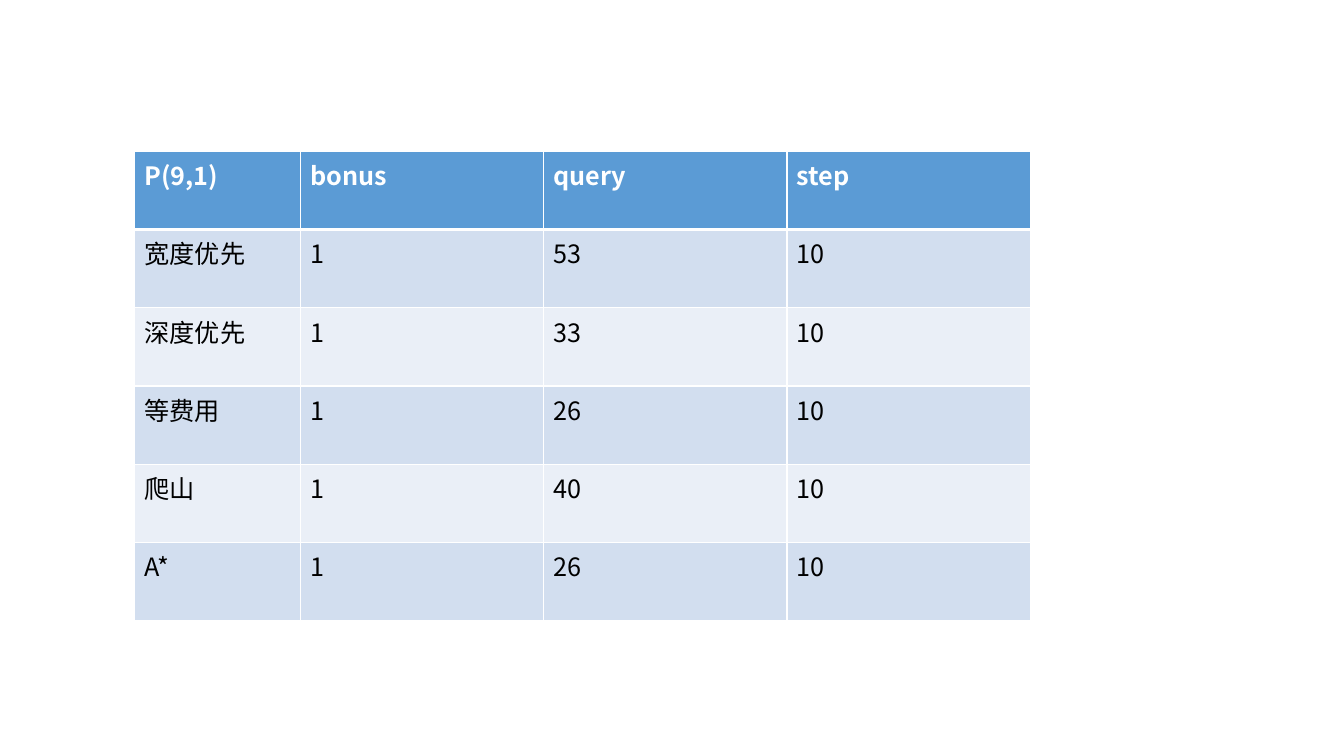
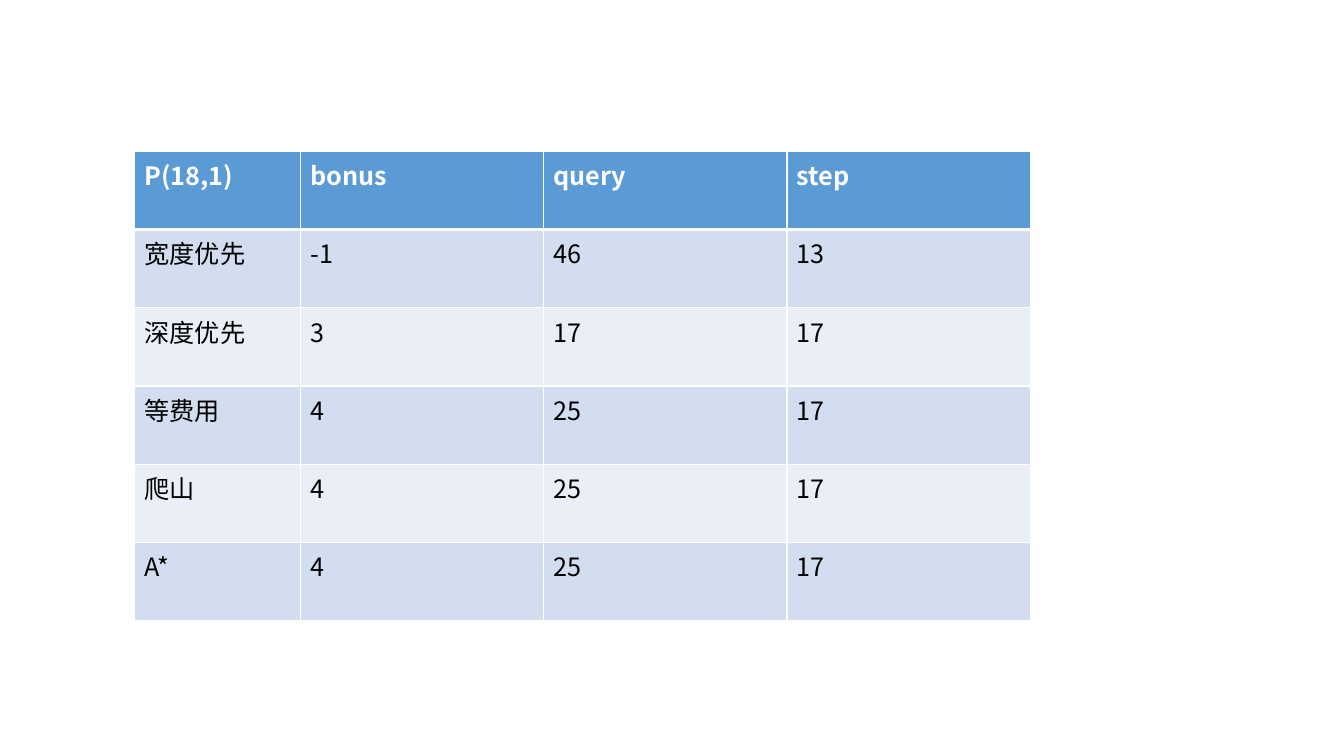
"""Build two slides that compare search methods in tables."""
from lxml import etree
from pptx import Presentation
from pptx.dml.color import RGBColor
from pptx.oxml.ns import qn
from pptx.util import Pt

FONT = "Noto Sans CJK SC"
WHITE = RGBColor(0xFF, 0xFF, 0xFF)
BLACK = RGBColor(0x00, 0x00, 0x00)
BLUE = RGBColor(0x5B, 0x9B, 0xD5)
BANDS = RGBColor(0xEA, 0xEF, 0xF7), RGBColor(0xD2, 0xDE, 0xEF)

HEADS = ["bonus", "query", "step"]
METHODS = ["宽度优先", "深度优先", "等费用", "爬山", "A*"]
RESULTS = {
    "P(9,1)": [(1, 53, 10), (1, 33, 10), (1, 26, 10), (1, 40, 10), (1, 26, 10)],
    "P(18,1)": [(-1, 46, 13), (3, 17, 17), (4, 25, 17), (4, 25, 17), (4, 25, 17)],
}

LEFT, TOP = 96, 108
WIDTHS = [118.5] + [173.8] * len(HEADS)
ROW = 55.9


def add_edge(cell, side, width):
    props = cell._tc.get_or_add_tcPr()
    line = etree.SubElement(props, qn(f"a:ln{side}"), w=str(Pt(width)))
    fill = etree.SubElement(line, qn("a:solidFill"))
    etree.SubElement(fill, qn("a:srgbClr"), val=str(WHITE))


def fill_cell(cell, value, row):
    head = row == 0
    for side in "LRTB":
        thick = (row, side) in [(0, "B"), (1, "T")]
        add_edge(cell, side, 3 if thick else 1)
    cell.fill.solid()
    cell.fill.fore_color.rgb = BLUE if head else BANDS[row % 2]
    cell.text = str(value)
    para = cell.text_frame.paragraphs[0]
    font = para.font
    font.size, font.bold, font.name = Pt(18), head, FONT
    font.color.rgb = WHITE if head else BLACK
    etree.SubElement(para._p.pPr.find(qn("a:defRPr")), qn("a:ea"), typeface=FONT)


def add_results(slide, name, results):
    rows = [[name, *HEADS]] + [[m, *r] for m, r in zip(METHODS, results)]
    table = slide.shapes.add_table(
        len(rows), len(WIDTHS), Pt(LEFT), Pt(TOP),
        Pt(sum(WIDTHS)), Pt(ROW * len(rows))).table
    for col, width in zip(table.columns, WIDTHS):
        col.width = Pt(width)
    for r, values in enumerate(rows):
        table.rows[r].height = Pt(ROW)
        for c, value in enumerate(values):
            fill_cell(table.cell(r, c), value, r)


def main():
    deck = Presentation()
    deck.slide_width, deck.slide_height = Pt(960), Pt(540)
    for name, results in RESULTS.items():
        add_results(deck.slides.add_slide(deck.slide_layouts[6]), name, results)
    deck.save("out.pptx")


if __name__ == "__main__":
    main()
